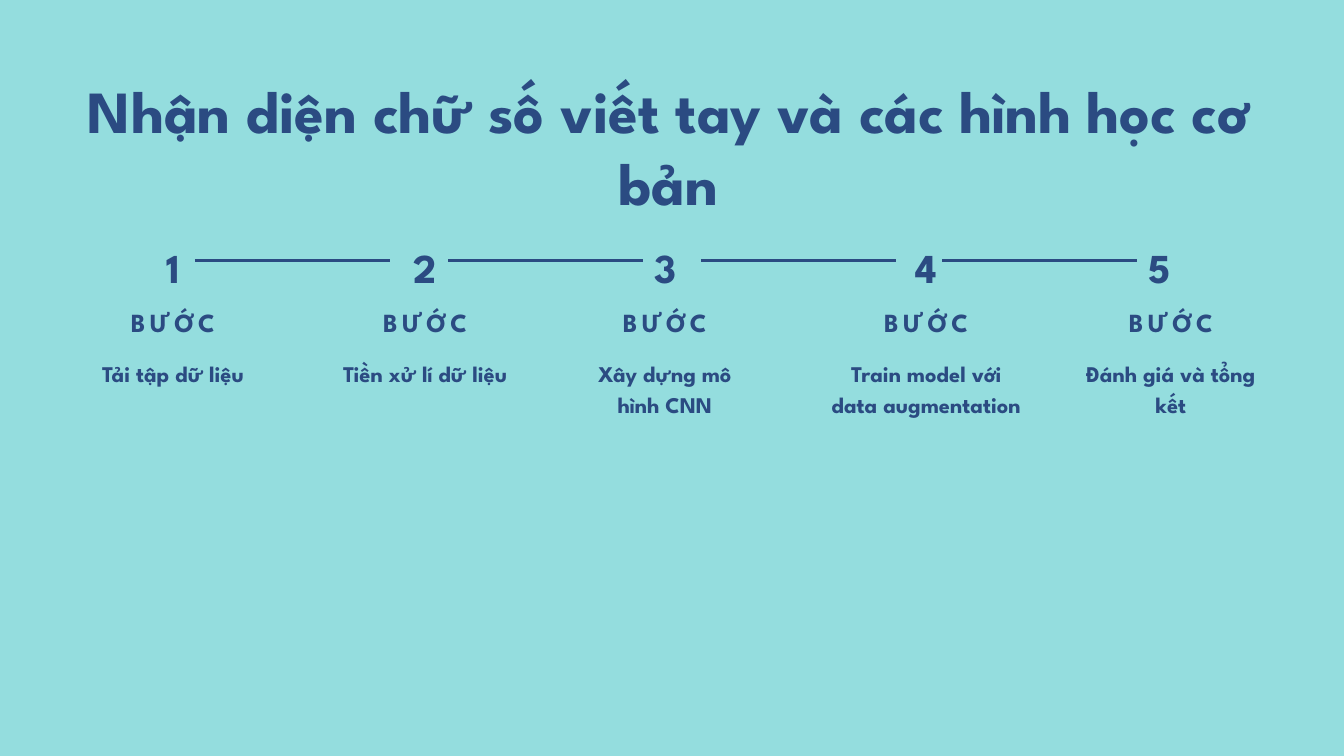
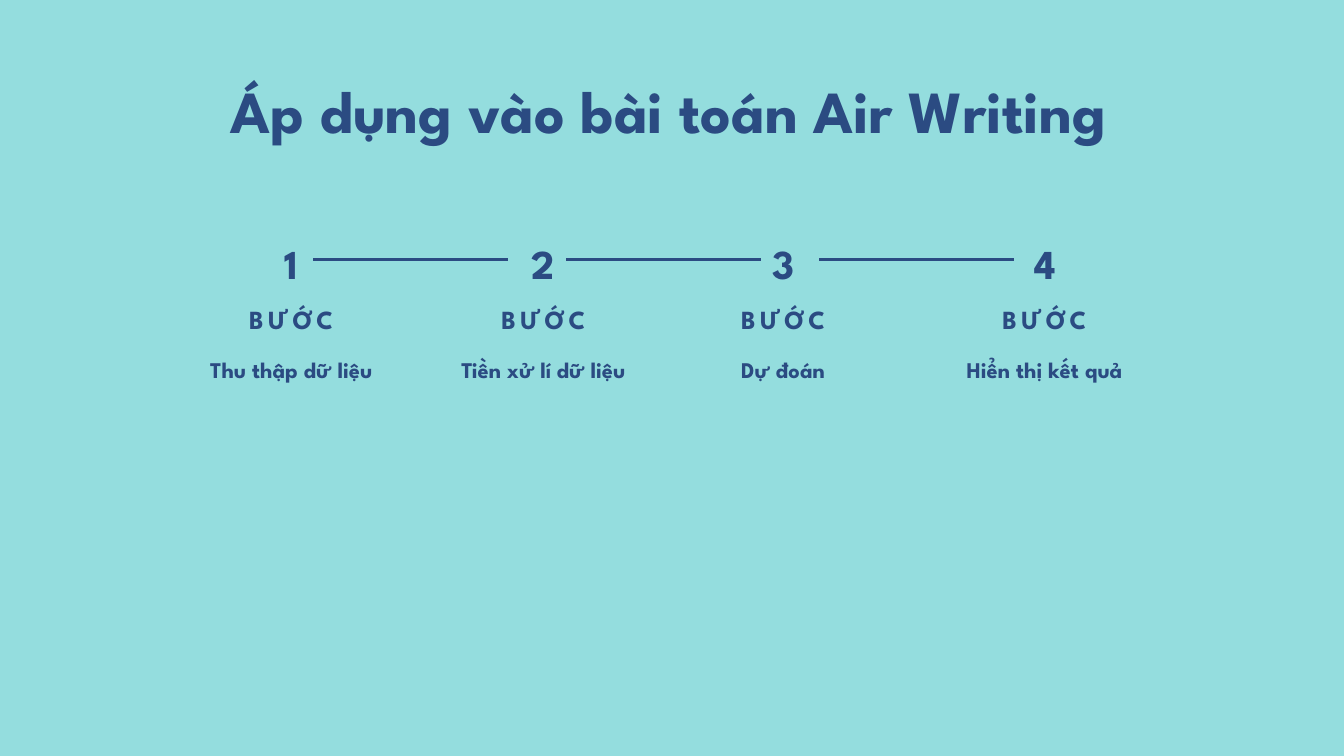
"""Build two timeline slides on handwriting recognition and air writing."""
from lxml import etree
from pptx import Presentation
from pptx.dml.color import RGBColor
from pptx.enum.shapes import MSO_CONNECTOR
from pptx.enum.text import MSO_ANCHOR, MSO_AUTO_SIZE, PP_ALIGN
from pptx.oxml.ns import qn
from pptx.util import Cm, Pt

STRAIGHT = MSO_CONNECTOR.STRAIGHT
TOP = MSO_ANCHOR.TOP
GROW = MSO_AUTO_SIZE.SHAPE_TO_FIT_TEXT
CENTER = PP_ALIGN.CENTER

COLORS = {"background": "94DDDE", "ink": "2B4B82"}
FONT = "League Spartan"
STEP_LABEL = "BƯỚC"

STYLES = {
    "title": {"size": 64, "leading": 76.8, "tracking": 0},
    "number": {"size": 44, "leading": 61.6, "tracking": 7.5},
    "label": {"size": 28, "leading": 39.2, "tracking": 4.8},
    "caption": {"size": 24, "leading": 33.6, "tracking": 0},
}

SLIDES = [
    {
        "title": "Nhận diện chữ số viết tay và các hình học cơ bản",
        "title_rows": 2,
        "shift": (0, 0),
        "line_top": 9.86,
        "captions": [
            ("Tải tập dữ liệu", 1),
            ("Tiền xử lí dữ liệu", 2),
            ("Xây dựng mô hình CNN", 2),
            ("Train model với data augmentation", 3),
            ("Đánh giá và tổng kết", 2),
        ],
    },
    {
        "title": "Áp dụng vào bài toán Air Writing",
        "title_rows": 1,
        "shift": (4.47, -0.12),
        "line_top": 9.8,
        "captions": [
            ("Thu thập dữ liệu", 1),
            ("Tiền xử lí dữ liệu", 2),
            ("Dự đoán", 1),
            ("Hiển thị kết quả", 1),
        ],
    },
]

COLUMNS = [
    {"center": 6.54, "width": 6.83, "number_center": 6.53, "line_left": 7.37},
    {"center": 16.07, "width": 6.68, "number_center": 16.08, "line_left": 16.94},
    {"center": 25.13, "width": 6.83, "number_center": 25.15, "line_left": 26.49},
    {"center": 35.01, "width": 7.44, "number_center": 35.03, "line_left": 35.61},
    {"center": 44.26, "width": 6.83, "number_center": 43.82, "line_left": 42.98},
]
LINE_LENGTH = 7.36
NUMBER_TOP, NUMBER_WIDTH, NUMBER_HEIGHT = 8.84, 1.68, 2.08
LABEL_TOP, LABEL_HEIGHT = 11.4, 1.3
CAPTION_TOP, CAPTION_ROW = 13.43, 1.15
TITLE_LEFT, TITLE_TOP, TITLE_WIDTH, TITLE_ROW = 2.84, 2.79, 44.83, 2.73


def write(shape, text, style_name):
    style = STYLES[style_name]
    frame = shape.text_frame
    frame_format = {
        "margin_left": 0, "margin_top": 0, "margin_right": 0, "margin_bottom": 0,
        "word_wrap": True, "auto_size": GROW, "vertical_anchor": TOP,
    }
    for name, value in frame_format.items():
        setattr(frame, name, value)
    paragraph = frame.paragraphs[0]
    paragraph_format = {
        "alignment": CENTER, "line_spacing": Pt(style["leading"]),
        "space_before": Pt(0), "space_after": Pt(0),
    }
    for name, value in paragraph_format.items():
        setattr(paragraph, name, value)
    run = paragraph.add_run()
    run.text = text
    for name, value in {"name": FONT, "size": Pt(style["size"]), "bold": True}.items():
        setattr(run.font, name, value)
    run.font.color.rgb = RGBColor.from_string(COLORS["ink"])
    if style["tracking"]:
        run.font._element.set("spc", str(round(style["tracking"] * 100)))


def add_centered(shapes, text, style_name, center, top, width, height):
    box = shapes.add_textbox(Cm(center - width / 2), Cm(top), Cm(width), Cm(height))
    write(box, text, style_name)


def add_line(shapes, left, top):
    line = shapes.add_connector(STRAIGHT, Cm(left), Cm(top), Cm(left + LINE_LENGTH), Cm(top))
    line.line.color.rgb = RGBColor.from_string(COLORS["ink"])
    line.line.width = Pt(3)
    etree.SubElement(line._element.spPr, qn("a:effectLst"))


def add_title(slide, content):
    title = slide.shapes.title
    place = {
        "left": TITLE_LEFT, "top": TITLE_TOP,
        "width": TITLE_WIDTH, "height": TITLE_ROW * content["title_rows"],
    }
    for name, value in place.items():
        setattr(title, name, Cm(value))
    write(title, content["title"], "title")


def add_timeline(slide, content):
    dx, dy = content["shift"]
    steps = list(zip(COLUMNS, content["captions"]))
    for column, (caption, rows) in steps:
        step = slide.shapes.add_group_shape().shapes
        center, width = column["center"] + dx, column["width"]
        add_centered(step, STEP_LABEL, "label", center, LABEL_TOP + dy, width, LABEL_HEIGHT)
        add_centered(step, caption, "caption", center, CAPTION_TOP + dy, width, CAPTION_ROW * rows)
    track = slide.shapes.add_group_shape().shapes
    for number, (column, _) in enumerate(steps, start=1):
        add_centered(track, str(number), "number", column["number_center"] + dx,
                     NUMBER_TOP + dy, NUMBER_WIDTH, NUMBER_HEIGHT)
    for column, _ in steps[:-1]:
        add_line(track, column["line_left"] + dx, content["line_top"])


def main():
    deck = Presentation()
    deck.slide_width, deck.slide_height = Cm(50.8), Cm(28.58)
    backdrop = deck.slide_master.background.fill
    backdrop.solid()
    backdrop.fore_color.rgb = RGBColor.from_string(COLORS["background"])
    title_only = deck.slide_layouts.get_by_name("Title Only")
    for content in SLIDES:
        slide = deck.slides.add_slide(title_only)
        add_title(slide, content)
        add_timeline(slide, content)
    deck.save("out.pptx")


if __name__ == "__main__":
    main()
